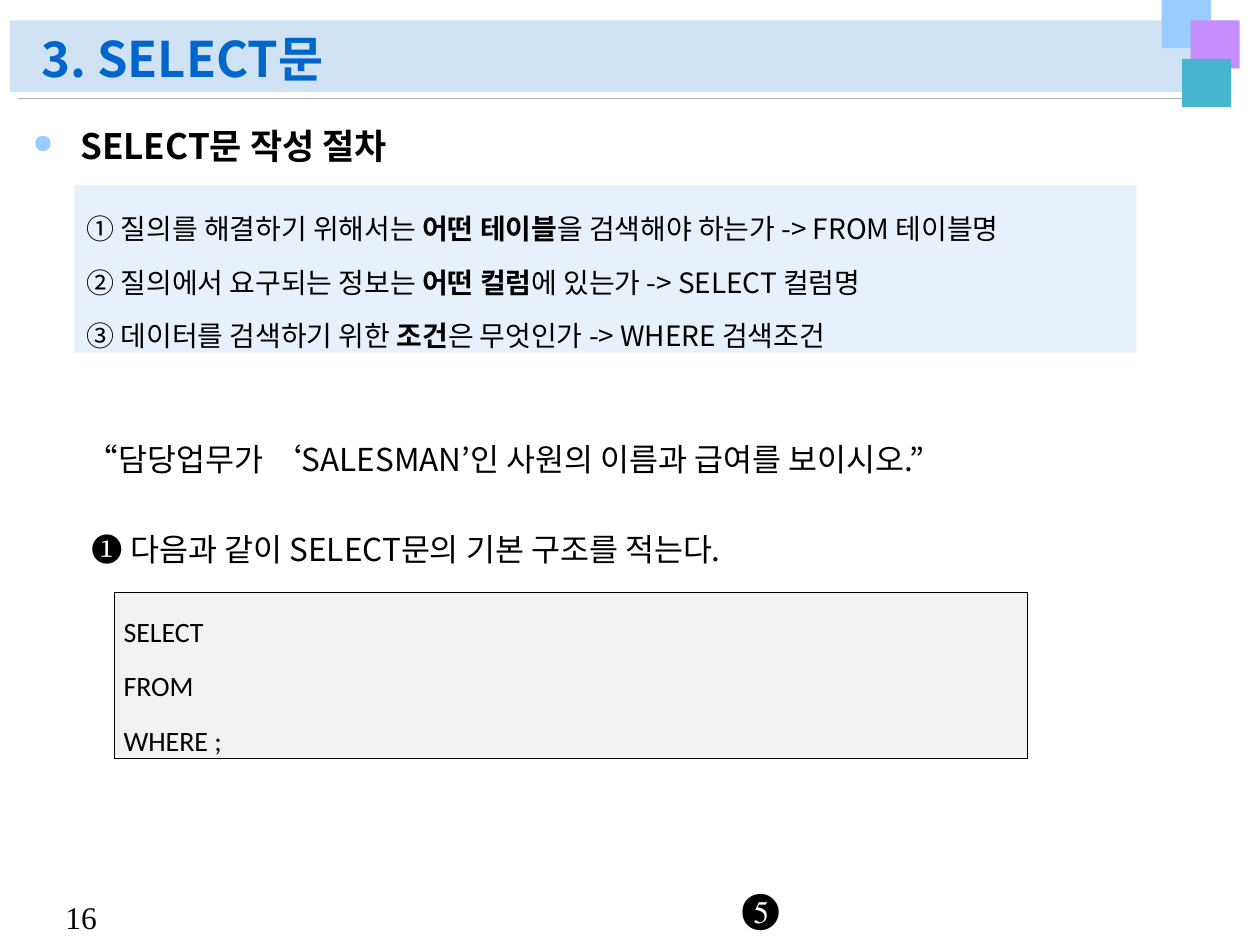
import pptx
import pptx.util
import pptx.dml.color
import pptx.enum.shapes
import pptx.enum.text
import pptx.oxml
import pptx.oxml.ns
import lxml.etree

Cm = pptx.util.Cm
Pt = pptx.util.Pt
RGBColor = pptx.dml.color.RGBColor
MSO_SHAPE = pptx.enum.shapes.MSO_SHAPE
PP_ALIGN = pptx.enum.text.PP_ALIGN
MSO_ANCHOR = pptx.enum.text.MSO_ANCHOR
MSO_AUTO_SIZE = pptx.enum.text.MSO_AUTO_SIZE
qn = pptx.oxml.ns.qn

BLACK = RGBColor(0, 0, 0)
TITLE_BLUE = RGBColor(0x00, 0x66, 0xCC)
BAND_BLUE = RGBColor(0xD0, 0xE3, 0xF5)
SKY = RGBColor(0x99, 0xCC, 0xFF)
PURPLE = RGBColor(0xC6, 0x8D, 0xFF)
TEAL = RGBColor(0x47, 0xB5, 0xCF)
RULE_GRAY = RGBColor(0xB2, 0xB2, 0xB2)
PALE_BLUE = RGBColor(0xE8, 0xF1, 0xFA)
CODE_GRAY = RGBColor(0xF2, 0xF2, 0xF2)
KOREAN = "Noto Sans CJK KR"
SERIF = "Times New Roman"


def style_run(run, size, font, bold=False, color=BLACK):
    run.font.size = Pt(size)
    run.font.name = font
    run.font.bold = bold
    run.font.color.rgb = color
    east_asian = lxml.etree.Element(qn("a:ea"), typeface=font)
    run.font._element.find(qn("a:latin")).addnext(east_asian)


def add_block(left, top, width, height, fill):
    block = slide.shapes.add_shape(
        MSO_SHAPE.RECTANGLE, Cm(left), Cm(top), Cm(width), Cm(height))
    block.shadow.inherit = False
    block.fill.solid()
    block.fill.fore_color.rgb = fill
    block.line.fill.background()
    return block


presentation = pptx.Presentation()
presentation.slide_width = Cm(25.4)
presentation.slide_height = Cm(19.05)
slide = presentation.slides.add_slide(presentation.slide_layouts[5])

add_block(0.2, 0.41, 24.61, 1.45, BAND_BLUE)
rule = slide.shapes.add_connector(
    pptx.enum.shapes.MSO_CONNECTOR.STRAIGHT, Cm(24.74), Cm(1.98), Cm(0.36), Cm(1.98))
rule.line.color.rgb = RULE_GRAY
rule.line.width = Pt(0.5)
lxml.etree.SubElement(rule._element.spPr, qn("a:effectLst"))
for left, top, color in [(23.42, 0, SKY), (24, 0.41, PURPLE), (23.83, 1.19, TEAL)]:
    add_block(left, top, 0.99, 0.97, color)

title = slide.shapes.title
title.left, title.top, title.width, title.height = Cm(0.58), Cm(0.43), Cm(22.81), Cm(1.47)
title.text_frame.text = "3. SELECT문"
title.text_frame.auto_size = MSO_AUTO_SIZE.NONE
title.text_frame.vertical_anchor = MSO_ANCHOR.BOTTOM
heading = title.text_frame.paragraphs[0]
heading.alignment = PP_ALIGN.LEFT
heading.line_spacing = 0.9
style_run(heading.runs[0], 28, KOREAN, True, TITLE_BLUE)
slide.shapes._spTree.append(title._element)

topic = slide.shapes.add_textbox(Cm(0.41), Cm(2.39), Cm(24.41), Cm(15.29))
topic.text_frame.word_wrap = True
topic.text_frame.text = "SELECT문 작성 절차"
bullet_line = topic.text_frame.paragraphs[0]
bullet_line.space_before = Pt(4)
style_run(bullet_line.runs[0], 20, KOREAN, True)
bullet_format = bullet_line._p.get_or_add_pPr()
bullet_format.set("marL", str(Cm(0.96)))
bullet_format.set("indent", str(-Cm(0.96)))
bullet_color = lxml.etree.SubElement(bullet_format, qn("a:buClr"))
lxml.etree.SubElement(bullet_color, qn("a:srgbClr"), val=str(SKY))
lxml.etree.SubElement(bullet_format, qn("a:buSzPct"), val="75000")
lxml.etree.SubElement(bullet_format, qn("a:buChar"), char="●")

procedure = add_block(1.5, 3.73, 21.41, 3.38, PALE_BLUE).text_frame
procedure.word_wrap = True
procedure.auto_size = MSO_AUTO_SIZE.SHAPE_TO_FIT_TEXT
procedure.vertical_anchor = MSO_ANCHOR.TOP
questions = [
    ("① 질의를 해결하기 위해서는 ", "어떤 테이블", "을 검색해야 하는가 -> FROM 테이블명"),
    ("② 질의에서 요구되는 정보는 ", "어떤 컬럼", "에 있는가 -> SELECT 컬럼명"),
    ("③ 데이터를 검색하기 위한 ", "조건", "은 무엇인가 -> WHERE 검색조건"),
]
for index, question in enumerate(questions):
    line = procedure.add_paragraph() if index else procedure.paragraphs[0]
    line.alignment = PP_ALIGN.JUSTIFY
    line.line_spacing = 1.6
    for part, words in enumerate(question):
        run = line.add_run()
        run.text = words
        style_run(run, 16, KOREAN, part == 1)

labels = [
    (1.07, 17.98, 1.27, 1.02, 18, [("16", SERIF)]),
    (1.5, 8.74, 18.03, 1.02, 18,
     [("“담당업무가 ‘SALESMAN’인 사원의 이름과 급여를 보이시오.”", KOREAN)]),
    (1.45, 10.57, 14.43, 1.02, 18,
     [(" ", KOREAN), ("❶ ", SERIF), ("다음과 같이 SELECT문의 기본 구조를 적는다.", KOREAN)]),
    (14.71, 17.65, 1.27, 1.27, 24, [("❺", SERIF)]),
]
for left, top, width, height, size, pieces in labels:
    label = slide.shapes.add_textbox(Cm(left), Cm(top), Cm(width), Cm(height)).text_frame
    label.word_wrap = False
    label.auto_size = MSO_AUTO_SIZE.SHAPE_TO_FIT_TEXT
    for words, font in pieces:
        run = label.paragraphs[0].add_run()
        run.text = words
        style_run(run, size, font)

query = slide.shapes.add_table(1, 1, Cm(2.31), Cm(11.94), Cm(18.39), Cm(3.2)).table
query.first_row = False
query.horz_banding = False
clauses = query.cell(0, 0)
clauses.fill.solid()
clauses.fill.fore_color.rgb = CODE_GRAY
clauses.vertical_anchor = MSO_ANCHOR.MIDDLE
clauses.margin_left = clauses.margin_right = Cm(0.18)
clauses.margin_top = clauses.margin_bottom = Cm(0.05)
clauses.text_frame.text = "SELECT\nFROM\nWHERE ;"
for clause in clauses.text_frame.paragraphs:
    clause.alignment = PP_ALIGN.JUSTIFY
    clause.line_spacing = 1.6
    style_run(clause.runs[0], 16, "Calibri")
cell_format = clauses._tc.get_or_add_tcPr()
for position, side in enumerate(["a:lnL", "a:lnR", "a:lnT", "a:lnB"]):
    border = lxml.etree.Element(qn(side), w=str(Pt(0.28)))
    border_fill = lxml.etree.SubElement(border, qn("a:solidFill"))
    lxml.etree.SubElement(border_fill, qn("a:srgbClr"), val=str(BLACK))
    cell_format.insert(position, border)

presentation.save("out.pptx")
